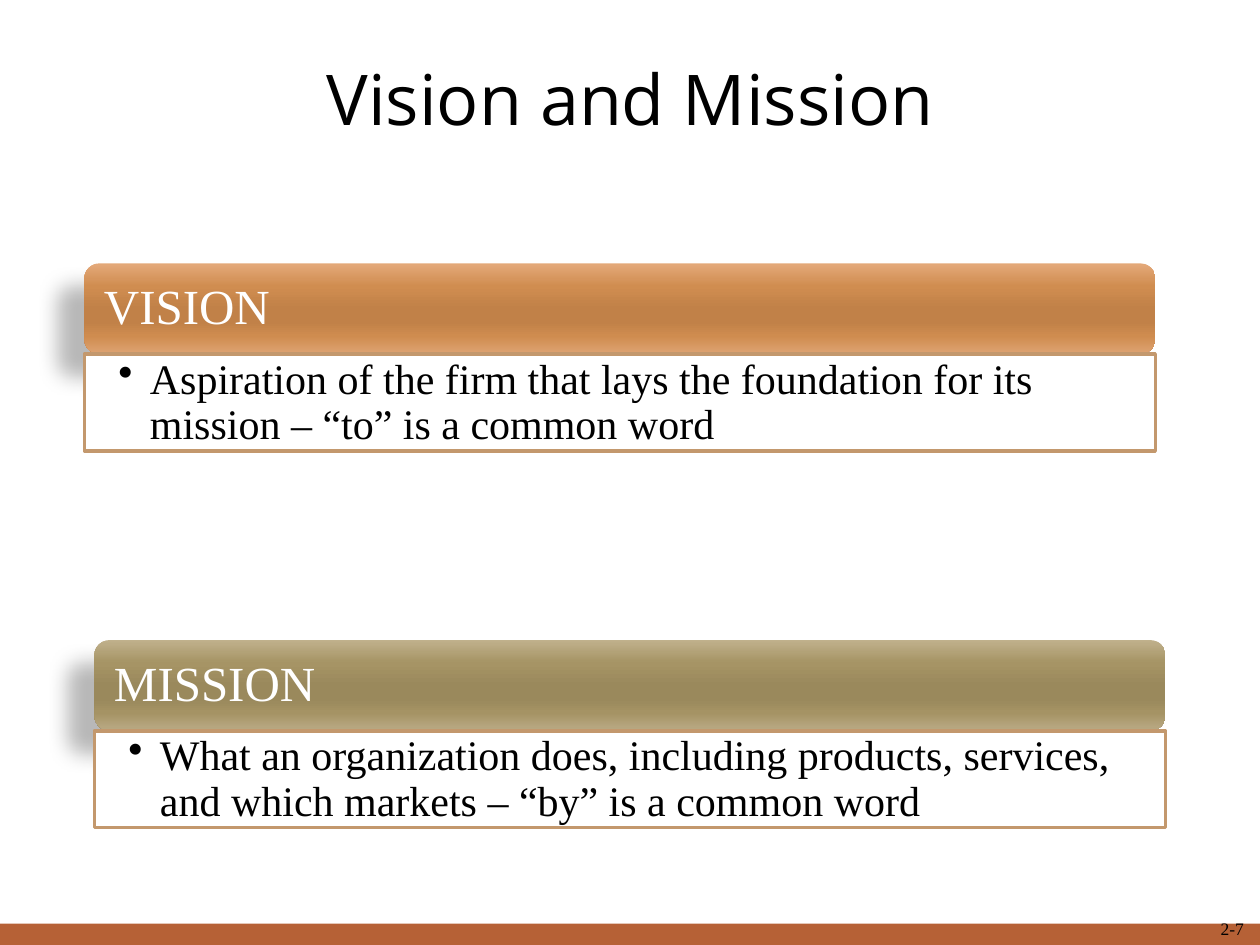
from lxml import etree
from pptx import Presentation
from pptx.dml.color import RGBColor
from pptx.enum import shapes, text
from pptx.oxml import ns
from pptx.util import Inches, Pt

# Content
TITLE = "Vision and Mission"
PAGE_NUMBER = "2-7"
CARDS = [
    {"heading": "MISSION", "left": 0.75, "top": 5.08,
     "body": "What an organization does, including products, services, "
             "and which markets – “by” is a common word",
     "colors": ["C0B18C", "A69465", "9A895C", "9A895C", "A59364", "BAAA85"]},
    {"heading": "VISION", "left": 0.67, "top": 2.09,
     "body": "Aspiration of the firm that lays the foundation for its "
             "mission – “to” is a common word",
     "colors": ["E4A97A", "D08D50", "C18148", "C18148", "CF8C4F", "DEA372"]},
]

# Layout and style
WIDTH, HEIGHT = 10, 7.5
CARD_WIDTH, HEADING_HEIGHT, BODY_HEIGHT = 8.5, 0.72, 0.77
FOOTER_HEIGHT = 0.17
STOPS = [0, 25, 50, 65, 80, 100]
BLACK = RGBColor(0, 0, 0)
WHITE = RGBColor(0xFF, 0xFF, 0xFF)
RUST = RGBColor(0xB6, 0x61, 0x36)
TAN = RGBColor(0xC3, 0x98, 0x6D)
SERIF, SANS = "Times New Roman", "Open Sans"
ANCHOR, ALIGN = text.MSO_ANCHOR, text.PP_ALIGN


def add_child(parent, tag, **attributes):
    child = etree.SubElement(parent, ns.qn(tag))
    for name, value in attributes.items():
        child.set(name, str(value))
    return child


def add_box(slide, kind, left, top, width, height, fill=None, line=None):
    shape = slide.shapes.add_shape(kind, *map(Inches, (left, top, width, height)))
    shape.shadow.inherit = False
    if fill is not None:
        shape.fill.solid()
        shape.fill.fore_color.rgb = fill
    if line is None:
        shape.line.fill.background()
    else:
        shape.line.color.rgb = line
        shape.line.width = Pt(2)
    return shape


def write(shape, words, size, font, color, anchor, margins=(0.1, 0.05, 0.1, 0.05),
          **paragraph_format):
    frame = shape.text_frame
    frame.word_wrap = True
    frame.vertical_anchor = anchor
    for side, margin in zip(("left", "top", "right", "bottom"), margins):
        setattr(frame, f"margin_{side}", Inches(margin))
    paragraph = frame.paragraphs[0]
    for name, value in paragraph_format.items():
        setattr(paragraph, name, value)
    run = paragraph.add_run()
    run.text = words
    run.font.size, run.font.name = Pt(size), font
    run.font.color.rgb = color
    return paragraph


def add_gradient(shape, colors):
    shape.fill.gradient()
    shape.fill.gradient_angle = 270
    stops = shape.element.spPr.find(".//" + ns.qn("a:gsLst"))
    for stop in list(stops):
        stops.remove(stop)
    for position, color in zip(STOPS, colors):
        stop = add_child(stops, "a:gs", pos=position * 1000)
        add_child(stop, "a:srgbClr", val=color)


def add_shadow(shape):
    effects = shape.element.spPr.find(ns.qn("a:effectLst"))
    shadow = add_child(effects, "a:outerShdw", blurRad=Pt(11.8), dist=Pt(19.7),
                       dir=141 * 60000, algn="ctr", rotWithShape=0)
    color = add_child(shadow, "a:srgbClr", val="000000")
    add_child(color, "a:alpha", val=28000)


def add_bullet(paragraph):
    properties = paragraph._p.get_or_add_pPr()
    properties.set("marL", str(Inches(0.25)))
    properties.set("indent", str(-Inches(0.25)))
    add_child(properties, "a:buChar", char="•")


def add_card(slide, card):
    left, top = card["left"], card["top"]
    heading = add_box(slide, shapes.MSO_SHAPE.ROUNDED_RECTANGLE, left, top,
                      CARD_WIDTH, HEADING_HEIGHT)
    add_gradient(heading, card["colors"])
    add_shadow(heading)
    write(heading, card["heading"], 28, SERIF, WHITE, ANCHOR.MIDDLE, (0.12,) * 4,
          alignment=ALIGN.LEFT, line_spacing=0.9)
    body = add_box(slide, shapes.MSO_SHAPE.RECTANGLE, left, top + HEADING_HEIGHT,
                   CARD_WIDTH, BODY_HEIGHT, WHITE, TAN)
    add_bullet(write(body, card["body"], 24, SERIF, BLACK, ANCHOR.TOP,
                     (0.27, 0.03, 0.19, 0.03), alignment=ALIGN.LEFT,
                     line_spacing=0.9))


def main():
    presentation = Presentation()
    presentation.slide_width, presentation.slide_height = Inches(WIDTH), Inches(HEIGHT)
    slide = presentation.slides.add_slide(presentation.slide_layouts[6])

    # Footer bar and page number
    add_box(slide, shapes.MSO_SHAPE.RECTANGLE, 0, HEIGHT - FOOTER_HEIGHT, WIDTH,
            FOOTER_HEIGHT, RUST)
    number = slide.shapes.add_textbox(*map(Inches, (7.33, 7.12, 2.64, 0.38)))
    write(number, PAGE_NUMBER, 10, SERIF, BLACK, ANCHOR.BOTTOM, alignment=ALIGN.RIGHT)

    # Title
    title = slide.shapes.add_textbox(0, 0, Inches(WIDTH), Inches(1.55))
    write(title, TITLE, 40, SANS, BLACK, ANCHOR.MIDDLE, alignment=ALIGN.CENTER)

    # Heading and description cards
    for card in CARDS:
        add_card(slide, card)

    presentation.save("out.pptx")


if __name__ == "__main__":
    main()
